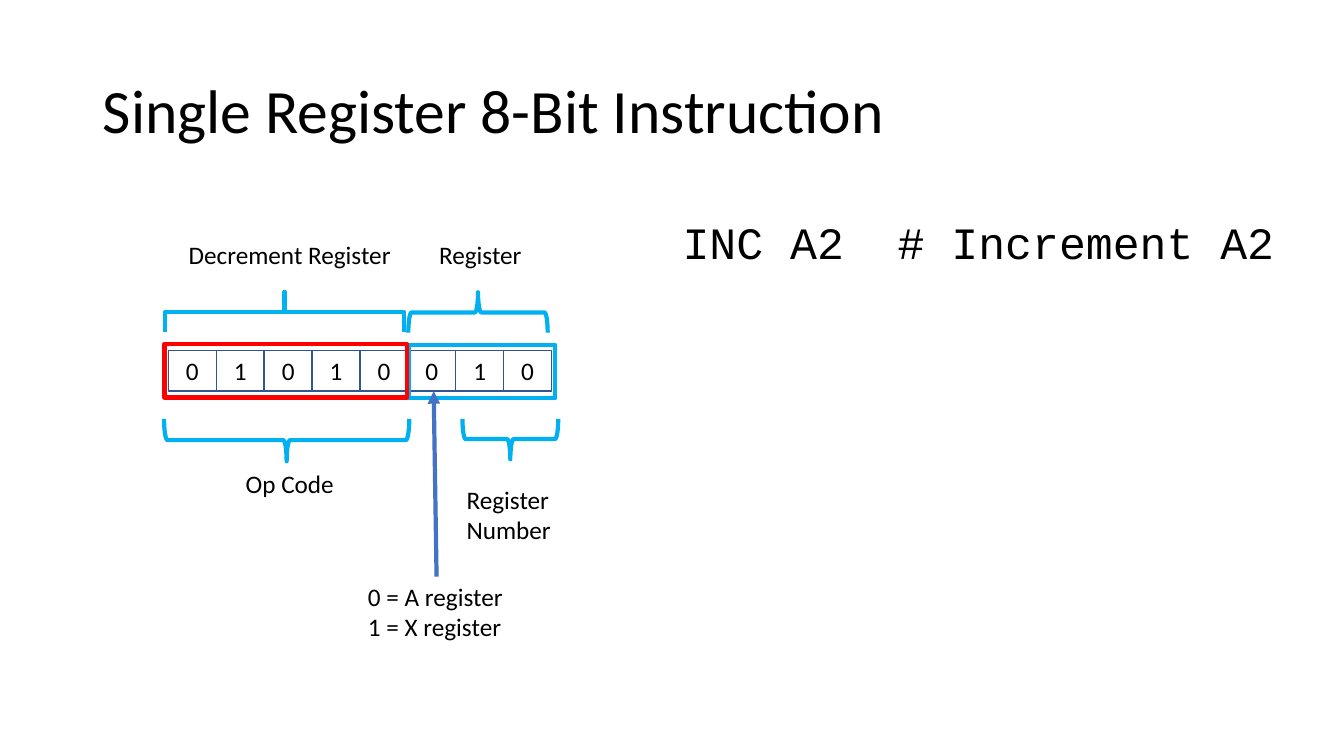
from dataclasses import dataclass
from typing import Any

from lxml.etree import SubElement
from pptx import Presentation
from pptx.dml.color import RGBColor
from pptx.enum.shapes import MSO_CONNECTOR as Link, MSO_SHAPE as Kind
from pptx.enum.text import MSO_ANCHOR as Anchor, MSO_AUTO_SIZE as Fit, PP_ALIGN as Align
from pptx.oxml.ns import qn
from pptx.util import Inches, Length, Pt

BLACK = RGBColor(0x00, 0x00, 0x00)
NAVY = RGBColor(0x32, 0x54, 0x91)
BLUE = RGBColor(0x44, 0x72, 0xC4)
CYAN = RGBColor(0x00, 0xB0, 0xF0)
RED = RGBColor(0xFF, 0x00, 0x00)

# Grid: one column and row per bit cell, zero at the byte's top left corner
LEFT, TOP = 1.67, 3.48
WIDE, HIGH = 0.475, 0.4
BITS = "01010010"


@dataclass(frozen=True)
class Box:
    """A place on the grid, in columns and rows."""
    col: float
    row: float
    cols: float
    rows: float = 1


@dataclass(frozen=True)
class Frame:
    box: Box
    color: RGBColor


@dataclass(frozen=True)
class Brace:
    box: Box
    turn: int
    curl: float = 0.08


@dataclass(frozen=True)
class Label:
    box: Box
    text: str
    align: Align = Align.CENTER
    font: str = "Calibri"
    size: int = 18


TITLE = Box(-1.58, -7.7, 24.21, 3.63)
FRAMES = [
    Frame(Box(5.03, -0.15, 3.05, 1.33), CYAN),
    Frame(Box(-0.08, -0.17, 5.07, 1.33), RED),
]
UP, DOWN = 90, 270
BRACES = [
    Brace(Box(-0.07, -1.46, 4.99), UP, 0),
    Brace(Box(5.01, -1.45, 2.91), UP),
    Brace(Box(-0.09, 1.69, 5.12, 1.05), DOWN),
    Brace(Box(6.14, 1.69, 2), DOWN),
]
LABELS = [
    Label(Box(0.19, -2.88, 4.69), "Decrement Register"),
    Label(Box(5.43, -2.88, 2.17), "Register"),
    Label(Box(1.39, 2.8, 2.29), "Op Code"),
    Label(Box(6.02, 3.18, 2.21, 1.77), "Register\nNumber", Align.LEFT),
    Label(Box(3.96, 5.6, 3.26, 1.77), "0 = A register\n1 = X register", Align.LEFT),
    Label(Box(10.53, -3.5, 12.93, 1.6), "INC A2  # Increment A2",
          Align.LEFT, "Courier New", 32),
]


def across(col: float) -> Length:
    return Inches(LEFT + col * WIDE)


def down(row: float) -> Length:
    return Inches(TOP + row * HIGH)


def place(box: Box) -> tuple[Length, Length, Length, Length]:
    return (across(box.col), down(box.row),
            Inches(box.cols * WIDE), Inches(box.rows * HIGH))


def write(shape: Any, text: str, *, size: int = 18, font: str = "Calibri",
          align: Align = Align.CENTER, anchor: Anchor = Anchor.MIDDLE,
          wrap: bool = True, fit: Fit = Fit.NONE, space: float = 1.0) -> None:
    frame = shape.text_frame
    frame.text = text
    frame.word_wrap = wrap
    frame.auto_size = fit
    frame.vertical_anchor = anchor
    for para in frame.paragraphs:
        para.alignment = align
        para.line_spacing = space
        para.font.size = Pt(size)
        para.font.name = font
        para.font.color.rgb = BLACK


def outline(shapes: Any, kind: Kind, box: Box, color: RGBColor, width: float = 3) -> Any:
    shape = shapes.add_shape(kind, *place(box))
    shape.shadow.inherit = False
    shape.fill.background()
    shape.line.color.rgb = color
    shape.line.width = Pt(width)
    return shape


def draw_byte(shapes: Any) -> None:
    group = shapes.add_group_shape()
    for col, bit in enumerate(BITS):
        write(outline(group.shapes, Kind.RECTANGLE, Box(col, 0, 1), NAVY, 1), bit)


def draw_brace(shapes: Any, brace: Brace) -> None:
    """Swap the sides about the centre, so the turned brace fills its box."""
    shape = outline(shapes, Kind.LEFT_BRACE, brace.box, CYAN)
    shift = (shape.width - shape.height) // 2
    shape.left, shape.top = shape.left + shift, shape.top - shift
    shape.width, shape.height = shape.height, shape.width
    shape.rotation = brace.turn
    shape.adjustments[0] = brace.curl


def draw_label(shapes: Any, label: Label) -> None:
    write(shapes.add_textbox(*place(label.box)), label.text, size=label.size,
          font=label.font, align=label.align, anchor=Anchor.TOP, wrap=False,
          fit=Fit.SHAPE_TO_FIT_TEXT)


def draw_arrow(shapes: Any) -> None:
    arrow = shapes.add_connector(Link.STRAIGHT, across(5.6), down(5.6),
                                 across(5.54), down(1))
    arrow.line.color.rgb = BLUE
    arrow.line.width = Pt(3)
    SubElement(arrow.line._get_or_add_ln(), qn("a:tailEnd"), type="triangle")
    SubElement(arrow._element.spPr, qn("a:effectLst"))


def main() -> None:
    deck = Presentation()
    deck.slide_width, deck.slide_height = Inches(13.33), Inches(7.5)
    slide = deck.slides.add_slide(deck.slide_layouts[5])
    shapes = slide.shapes

    title = shapes.title
    title.left, title.top, title.width, title.height = place(TITLE)
    write(title, "Single Register 8-Bit Instruction", size=44,
          align=Align.LEFT, space=0.9)

    draw_byte(shapes)
    for frame in FRAMES:
        outline(shapes, Kind.RECTANGLE, frame.box, frame.color)
    for brace in BRACES:
        draw_brace(shapes, brace)
    for label in LABELS:
        draw_label(shapes, label)
    draw_arrow(shapes)
    deck.save("out.pptx")


if __name__ == "__main__":
    main()
